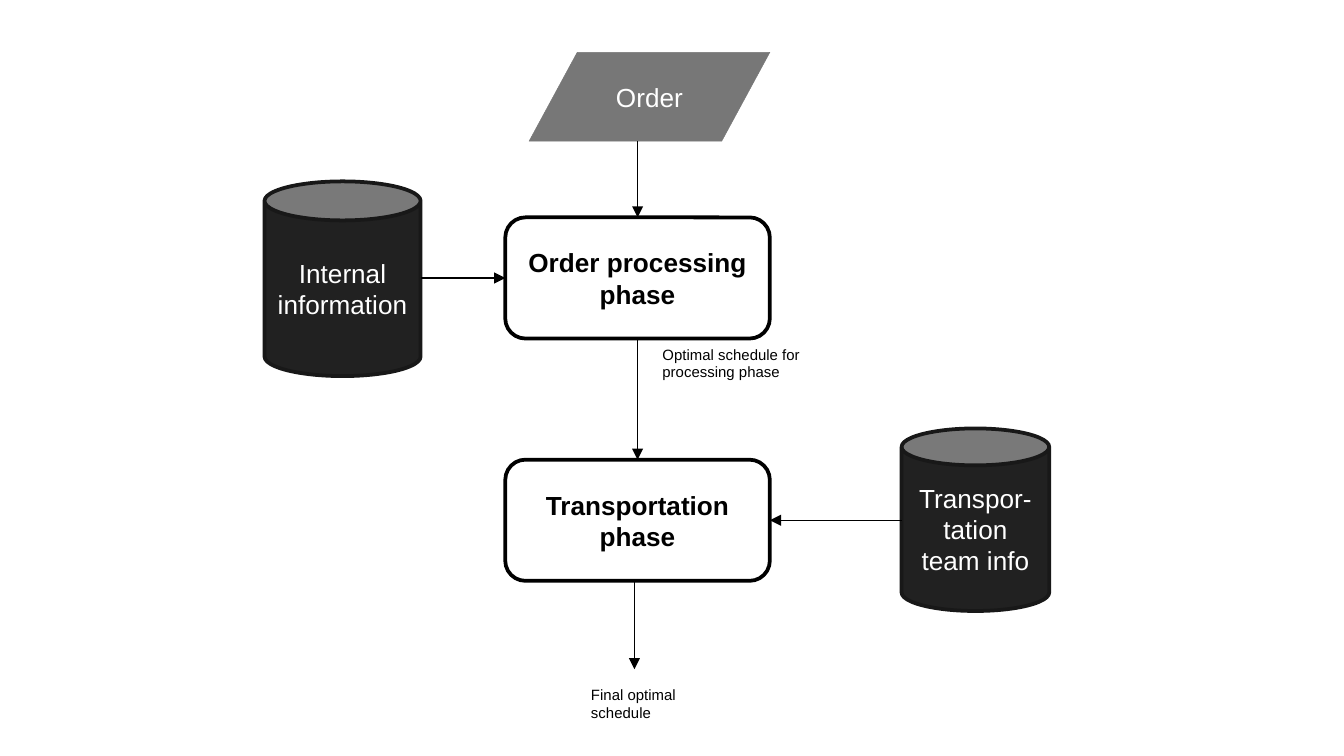
from lxml.etree import SubElement
from pptx import Presentation
from pptx.dml.color import RGBColor
from pptx.enum.shapes import MSO_CONNECTOR, MSO_SHAPE
from pptx.enum.text import MSO_ANCHOR, PP_ALIGN
from pptx.oxml.ns import qn
from pptx.util import Cm, Pt

STYLES = {
    "input": (MSO_SHAPE.FLOWCHART_DATA, "777777", "777777", 0.25, "FFFFFF", False),
    "phase": (MSO_SHAPE.ROUNDED_RECTANGLE, "FFFFFF", "000000", 2, "000000", True),
    "store": (MSO_SHAPE.CAN, "212121", "181818", 2, "FFFFFF", False),
}
NODES = {
    "order": ("input", "Order", 10, 0.99, 4.55, 1.68),
    "process": ("phase", "Order processing phase", 9.55, 4.11, 5, 2.29),
    "move": ("phase", "Transportation phase", 9.55, 8.69, 5, 2.29),
    "info": ("store", "Internal information", 5, 3.43, 2.95, 3.68),
    "team": ("store", "Transpor-tation team info", 17.04, 8.1, 2.79, 3.45),
}
LABELS = [
    ("Optimal schedule for processing phase", 12.27, 6.4, 3.4, 0.94),
    ("Final optimal schedule", 10.92, 12.83, 2.67, 0.94),
]
DOWN = [("order", "process"), ("process", "move")]
ACROSS = [("info", "process"), ("team", "move")]
FINAL = (11.99, 10.98, 11.99, 12.65)


def color(code):
    return RGBColor.from_string(code)


def write(shape, text, size=14, code="000000", bold=False,
          align=PP_ALIGN.CENTER, anchor=MSO_ANCHOR.MIDDLE, pad=0.25):
    frame = shape.text_frame
    frame.word_wrap = True
    frame.vertical_anchor = anchor
    frame.margin_left = frame.margin_right = Cm(pad)
    para = frame.paragraphs[0]
    para.alignment = align
    run = para.add_run()
    run.text = text
    run.font.name = "Arial"
    run.font.size = Pt(size)
    run.font.bold = bold
    run.font.color.rgb = color(code)


def node(slide, style, text, *place):
    kind, fill, line, width, ink, bold = STYLES[style]
    shape = slide.shapes.add_shape(kind, *map(Cm, place))
    shape.shadow.inherit = False
    shape.fill.solid()
    shape.fill.fore_color.rgb = color(fill)
    shape.line.color.rgb = color(line)
    shape.line.width = Pt(width)
    write(shape, text, code=ink, bold=bold, pad=0.23)


def arrow(slide, *ends):
    link = slide.shapes.add_connector(MSO_CONNECTOR.STRAIGHT, *map(Cm, ends))
    link.line.color.rgb = color("000000")
    link.line.width = Pt(0.75)
    props = link.element.spPr
    SubElement(props.find(qn("a:ln")), qn("a:tailEnd"), type="triangle")
    SubElement(props, qn("a:effectLst"))


def main():
    deck = Presentation()
    deck.slide_width, deck.slide_height = Cm(25.4), Cm(14.29)
    slide = deck.slides.add_slide(deck.slide_layouts[6])

    for item in NODES.values():
        node(slide, *item)

    for start, end in DOWN:
        top, height = NODES[start][3], NODES[start][5]
        left, stop, width = NODES[end][2:5]
        mid = left + width / 2
        arrow(slide, mid, top + height, mid, stop)

    for start, end in ACROSS:
        side, wide = NODES[start][2], NODES[start][4]
        left, top, width, height = NODES[end][2:]
        mid = top + height / 2
        if side < left:
            arrow(slide, side + wide, mid, left, mid)
        else:
            arrow(slide, side, mid, left + width, mid)
    arrow(slide, *FINAL)

    for text, *place in LABELS:
        box = slide.shapes.add_textbox(*map(Cm, place))
        write(box, text, size=8, align=PP_ALIGN.LEFT, anchor=MSO_ANCHOR.TOP)

    deck.save("out.pptx")


if __name__ == "__main__":
    main()
